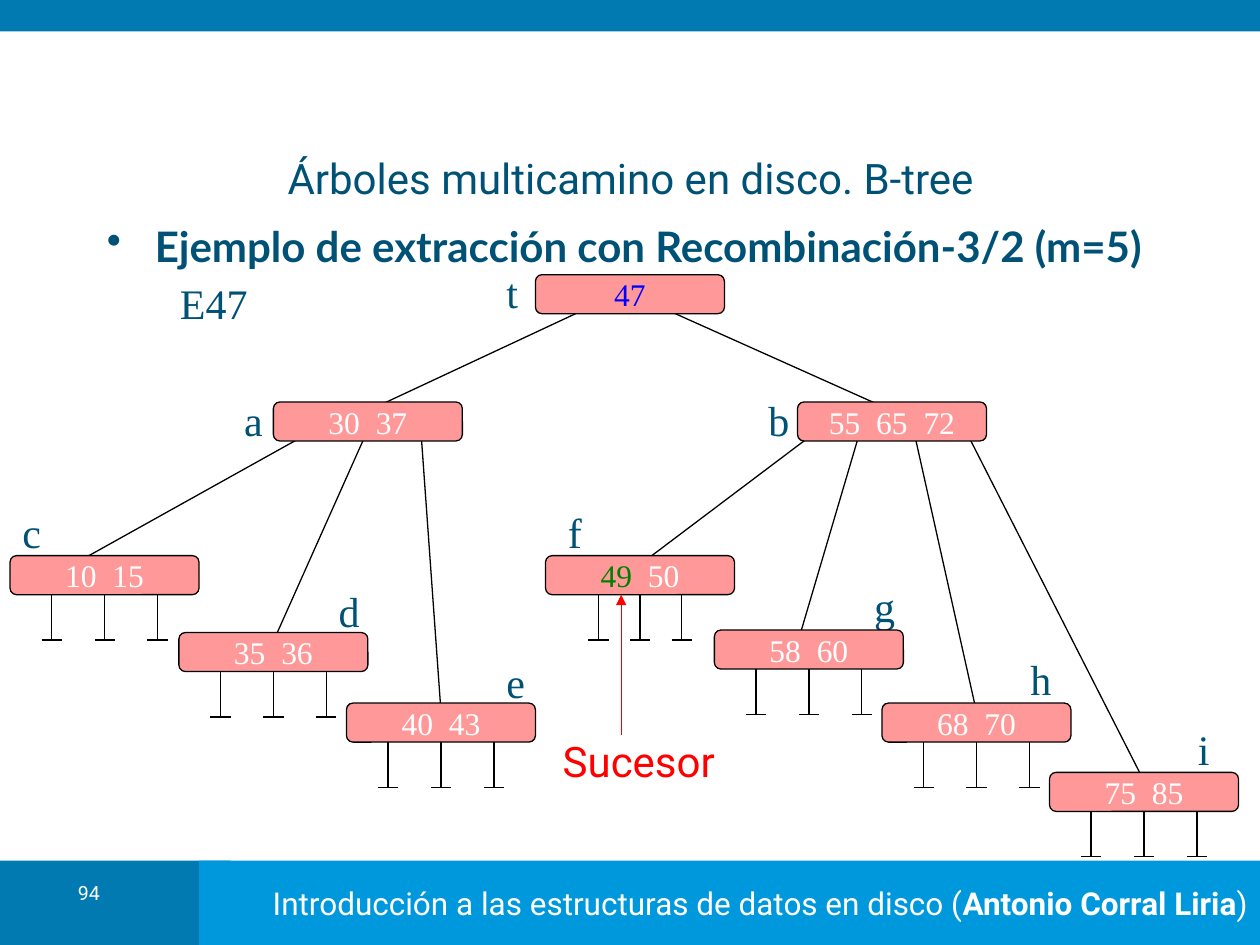
import pptx
import pptx.dml.color
import pptx.enum.shapes
import pptx.enum.text
import pptx.oxml
import pptx.util
from pptx.util import Inches

SHAPE = pptx.enum.shapes.MSO_SHAPE
ALIGN = pptx.enum.text.PP_ALIGN
ANCHOR = pptx.enum.text.MSO_ANCHOR
NAVY, WHITE, RED = "005176", "FFFFFF", "FF0000"
SERIF, SANS = "Times New Roman", "Roboto"
NODE_WIDTH, NODE_HEIGHT = 1.5, 0.31
KEY_SIZE = 18

# name: (left, top, keys, label offset, stem spacing or None)
NODES = {
    "t": (4.25, 2.18, ["47"], (-0.33, -0.11), None),
    "a": (2.17, 3.19, ["30", "37"], (-0.33, -0.11), None),
    "b": (6.33, 3.19, ["55", "65", "72"], (-0.33, -0.11), None),
    "c": (0.08, 4.41, ["10", "15"], (0, -0.44), 0.42),
    "d": (1.42, 5.02, ["35", "36"], (1.17, -0.42), 0.42),
    "e": (2.75, 5.58, ["40", "43"], (1.17, -0.42), 0.42),
    "f": (4.33, 4.41, ["49", "50"], (0.08, -0.44), 0.33),
    "g": (5.67, 5, ["58", "60"], (1.17, -0.44), 0.42),
    "h": (7, 5.58, ["68", "70"], (1.08, -0.44), 0.42),
    "i": (8.33, 6.13, ["75", "85"], (1.08, -0.44), 0.42),
}
# parent, child, offset along the parent, offset along the child
EDGES = [
    ("t", "a", 0.51, 0.75), ("t", "b", 0.91, 0.75),
    ("a", "c", 0.33, 0.5), ("a", "d", 0.75, 0.75), ("a", "e", 1.17, 0.75),
    ("b", "f", 0.17, 0.75), ("b", "g", 0.5, 0.67),
    ("b", "h", 0.92, 0.75), ("b", "i", 1.33, 0.75),
]
KEY_COLOURS = {"47": "0000FF", "49": "008000"}


def colour(value):
    """Return the colour for a hex string."""
    return pptx.dml.color.RGBColor.from_string(value)


def style(font, size, name, value, bold=False):
    """Set the look of a font."""
    font.size, font.name, font.bold = pptx.util.Pt(size), name, bold
    font.color.rgb = colour(value)


def add_span(para, text, *look):
    """Append a styled run to a paragraph."""
    span = para.add_run()
    span.text = text
    style(span.font, *look)
    return span


def add_text(page, box, text, look, align=ALIGN.LEFT, anchor=ANCHOR.TOP):
    """Place a line of text in a box and return its paragraph."""
    frame = page.shapes.add_textbox(*map(Inches, box)).text_frame
    frame.word_wrap, frame.vertical_anchor = True, anchor
    para = frame.paragraphs[0]
    para.text, para.alignment = text, align
    style(para.runs[0].font, *look)
    return para


def add_block(page, box, fill, kind=SHAPE.RECTANGLE, border=None):
    """Place a filled shape and return it."""
    block = page.shapes.add_shape(kind, *map(Inches, box))
    block.shadow.inherit = False
    block.fill.solid()
    block.fill.fore_color.rgb = colour(fill)
    if border:
        block.line.color.rgb = colour(border)
        block.line.width = pptx.util.Pt(0.75)
    else:
        block.line.fill.background()
    return block


def add_line(page, start, end, value="000000"):
    """Draw a thin straight line and return it."""
    line = page.shapes.add_connector(
        pptx.enum.shapes.MSO_CONNECTOR.STRAIGHT, *map(Inches, (*start, *end)))
    line.line.color.rgb = colour(value)
    line.line.width = pptx.util.Pt(0.75)
    pptx.oxml.xmlchemy.OxmlElement
    line._element.spPr.append(pptx.oxml.xmlchemy.OxmlElement("a:effectLst"))
    return line


def add_stems(page, left, top, spacing):
    """Draw the three empty links below a leaf."""
    for step in (-1, 0, 1):
        x, foot = left + NODE_WIDTH / 2 + step * spacing, top + 0.67
        add_line(page, (x, top + 0.25), (x, foot))
        add_line(page, (x - 0.08, foot), (x + 0.08, foot))


def add_node(page, name, left, top, keys, offset):
    """Place a node's label and its box of keys."""
    add_text(page, (left + offset[0], top + offset[1], 0.33, 0.5), name, (24, SERIF, NAVY))
    node = add_block(page, (left, top, NODE_WIDTH, NODE_HEIGHT), "FF9999",
                     SHAPE.ROUNDED_RECTANGLE, "000000")
    frame = node.text_frame
    frame.word_wrap, frame.vertical_anchor = False, ANCHOR.MIDDLE
    para = frame.paragraphs[0]
    para.alignment = ALIGN.CENTER
    for index, key in enumerate(keys):
        if index:
            gap = add_span(para, " ", KEY_SIZE, SERIF, WHITE)
            gap.font._element.set("spc", str(KEY_SIZE * 25))
        add_span(para, key, KEY_SIZE, SERIF, KEY_COLOURS.get(key, WHITE))


def add_tree(page):
    """Draw the tree with its lines behind its nodes."""
    for parent, child, start, end in EDGES:
        (x1, y1), (x2, y2) = NODES[parent][:2], NODES[child][:2]
        add_line(page, (x1 + start, y1 + 0.22), (x2 + end, y2 + 0.07))
    for left, top, _, _, spacing in NODES.values():
        if spacing:
            add_stems(page, left, top, spacing)
    for name, (left, top, keys, offset, _) in NODES.items():
        add_node(page, name, left, top, keys, offset)


def add_successor(page, left, top):
    """Place the successor caption and the arrow above it."""
    add_text(page, (left, top, 1.46, 0.5), "Sucesor", (24, SANS, RED),
             ALIGN.CENTER, ANCHOR.MIDDLE)
    arrow = add_line(page, (left + 0.59, top + 0.04), (left + 0.59, top - 1.07), RED)
    head = pptx.oxml.xmlchemy.OxmlElement("a:tailEnd")
    head.set("type", "triangle")
    arrow.line._get_or_add_ln().append(head)


def add_bars(page, width, top, height):
    """Place the top band and the footer with its text and page number."""
    add_block(page, (0, top, 1.83, height), "007AB1")
    footer = add_block(page, (1.58, top, width - 1.58, height), "0098DC")
    footer.text_frame.word_wrap = False
    footer.text_frame.vertical_anchor = ANCHOR.MIDDLE
    para = footer.text_frame.paragraphs[0]
    para.alignment = ALIGN.RIGHT
    for text, bold in (("Introducción a las estructuras de datos en disco (", False),
                       ("Antonio Corral Liria", True), (")", False)):
        add_span(para, text, 18, SANS, WHITE, bold)
    add_block(page, (0, 0, width, 0.25), "007AB1")
    number = add_text(page, (0.35, top + 0.15, 0.71, 0.32), "94",
                      (11.2, SANS, WHITE), ALIGN.CENTER)
    number.line_spacing = 0.8


def add_headings(page, left, top):
    """Place the title and the bulleted heading."""
    add_text(page, (left + 0.08, top, 8.35, 0.42), "Árboles multicamino en disco. B-tree",
             (24, SANS, NAVY), ALIGN.CENTER, ANCHOR.MIDDLE)
    para = add_text(page, (left, top + 0.5, 9.05, 0.5),
                    "Ejemplo de extracción con Recombinación-3/2 (m=5)",
                    (24, "Lato", NAVY, True))
    props = para._p.get_or_add_pPr()
    props.set("marL", str(Inches(0.38)))
    props.set("indent", str(Inches(-0.38)))
    bullet = pptx.oxml.xmlchemy.OxmlElement("a:buChar")
    bullet.set("char", "•")
    props.append(bullet)
    add_text(page, (left + 0.58, top + 0.95, 0.92, 0.5), "E47", (24, SERIF, NAVY))


def main():
    """Build the slide and save it."""
    deck = pptx.Presentation()
    deck.slide_width, deck.slide_height = Inches(10), Inches(7.5)
    page = deck.slides.add_slide(deck.slide_layouts[6])
    add_bars(page, 10, 6.83, 0.67)
    add_headings(page, 0.75, 1.2)
    add_tree(page)
    add_successor(page, 4.34, 5.79)
    deck.save("out.pptx")


if __name__ == "__main__":
    main()
